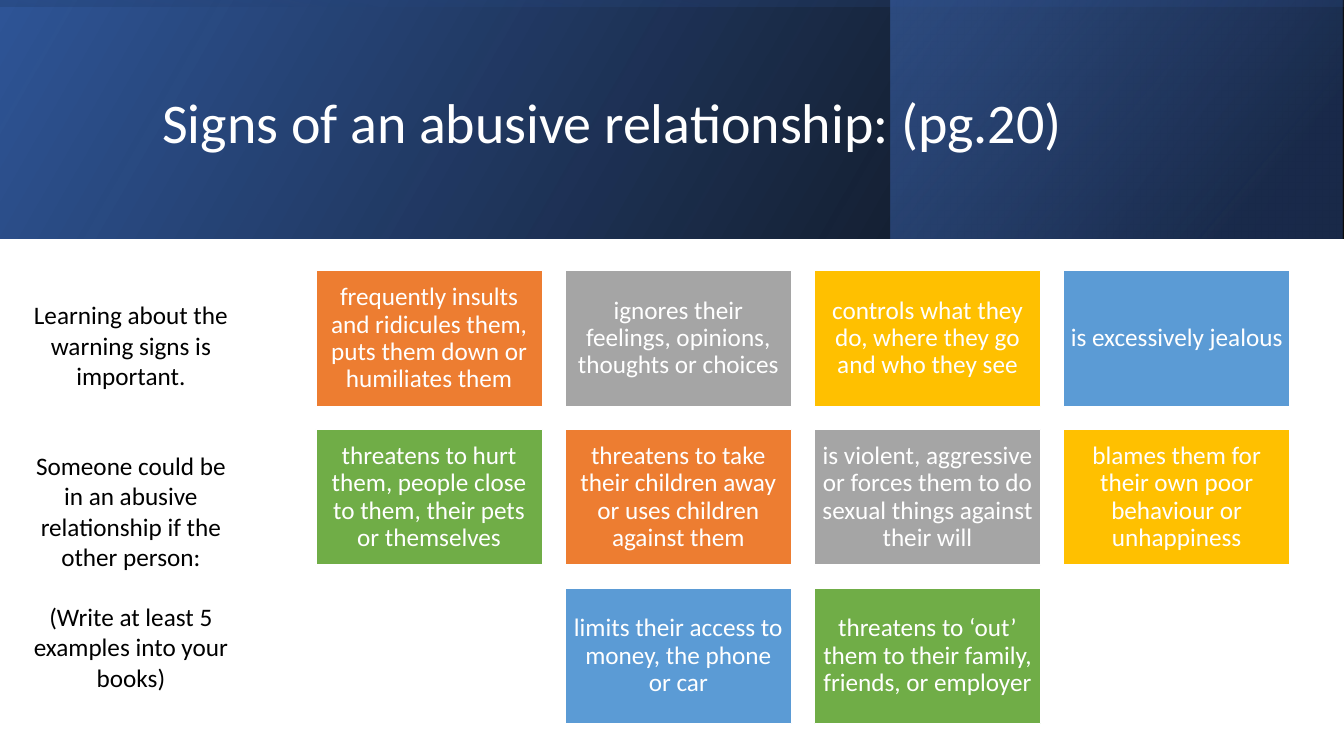
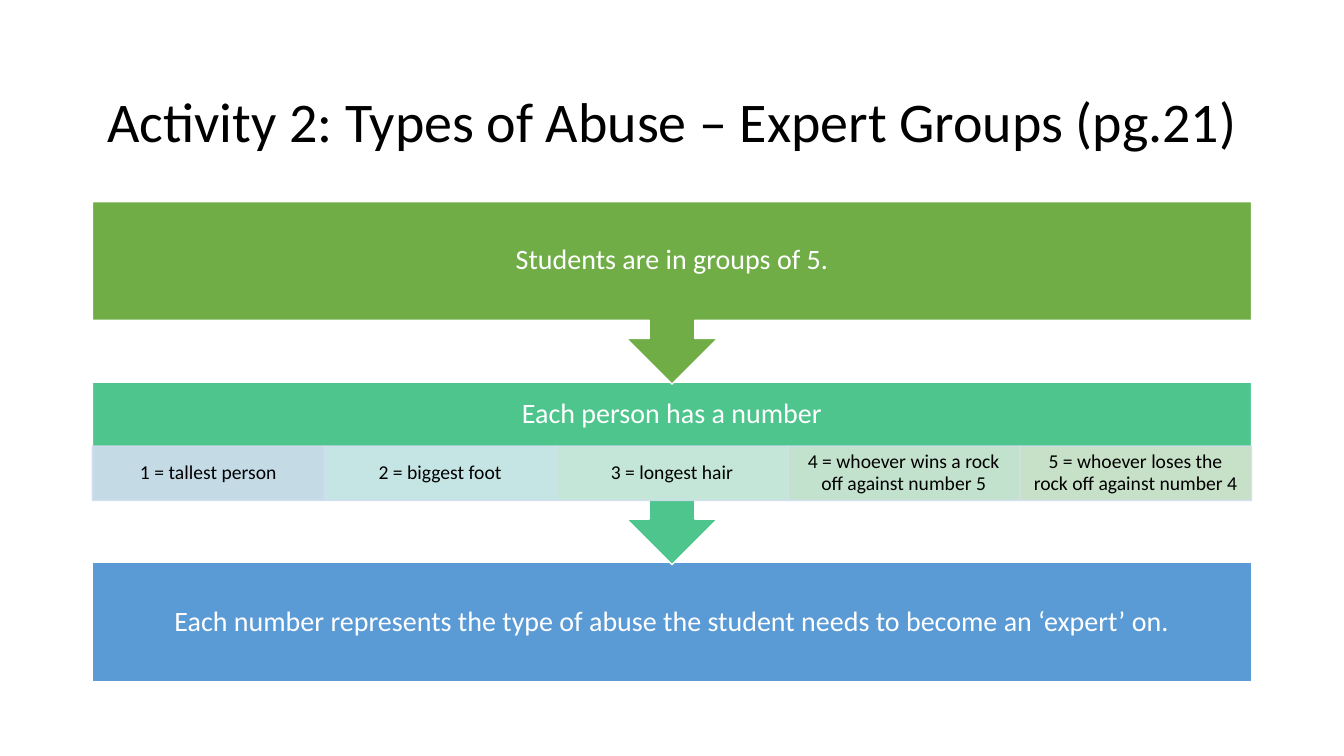
from dataclasses import dataclass

from pptx import Presentation
from pptx.dml.color import RGBColor
from pptx.enum.shapes import MSO_SHAPE as Shape
from pptx.enum.text import MSO_ANCHOR as Anchor, MSO_AUTO_SIZE as AutoSize, PP_ALIGN as Align
from pptx.oxml.xmlchemy import OxmlElement
from pptx.util import Cm, Pt


@dataclass(frozen=True)
class Theme:
    font: str = "Calibri"
    title_size: int = 40
    step_size: int = 20
    body_size: int = 18
    cell_size: int = 14
    white: str = "FFFFFF"
    black: str = "000000"
    navy: str = "203864"
    royal: str = "2F5597"
    azure: str = "4472C4"
    blue: str = "5B9BD5"
    green: str = "70AD47"
    mint: str = "4DC58D"
    cards: tuple = ("ED7D31", "A5A5A5", "FFC000", "5B9BD5", "70AD47")
    cells: tuple = ("D2DEEF", "D1E9ED", "D0EAE1", "D0E6D4", "D5E3CF")
    cell_line: str = "D2DEEF"


T = Theme()
SLIDE_W, SLIDE_H = 33.87, 19.05


def rgb(color):
    return RGBColor.from_string(color)


def set_alpha(shape, values):
    """Give each colour of the shape, in order, its opacity in percent."""
    for color, value in zip(shape.element.spPr.xpath(".//a:srgbClr"), values):
        alpha = OxmlElement("a:alpha")
        alpha.set("val", str(value * 1000))
        color.append(alpha)


class Deck:
    def __init__(self):
        self.prs = Presentation()
        self.prs.slide_width, self.prs.slide_height = Cm(SLIDE_W), Cm(SLIDE_H)
        self.s = None

    def new_slide(self):
        self.s = self.prs.slides.add_slide(self.prs.slide_layouts[5])

    def fill_text(self, shape, paragraphs, size, color, inset=(0.25, 0.13), spacing=0.9,
                  anchor=Anchor.MIDDLE, align=Align.CENTER, gaps=()):
        tf = shape.text_frame
        tf.word_wrap, tf.auto_size = True, AutoSize.NONE
        tf.vertical_anchor = anchor
        tf.margin_left = tf.margin_right = Cm(inset[0])
        tf.margin_top = tf.margin_bottom = Cm(inset[1])
        tf.text = "\n".join(paragraphs)
        for p in tf.paragraphs:
            p.alignment, p.line_spacing = align, spacing
            p.font.name, p.font.size = T.font, Pt(size)
            p.font.color.rgb = rgb(color)
        for p, gap in zip(tf.paragraphs[1:], gaps):
            p.space_before = Pt(gap)

    def title(self, text, box, color, align=Align.CENTER):
        sp = self.s.shapes.title
        sp.left, sp.top, sp.width, sp.height = map(Cm, box)
        self.fill_text(sp, [text], T.title_size, color, align=align)
        self.s.shapes.element.append(sp.element)  # in front of the bands

    def text(self, paragraphs, box, size, color, **style):
        self.fill_text(self.s.shapes.add_textbox(*map(Cm, box)), paragraphs, size, color, **style)

    def shape(self, box, fill, line=T.white, kind=Shape.RECTANGLE):
        sp = self.s.shapes.add_shape(kind, *map(Cm, box))
        sp.shadow.inherit = False
        sp.fill.solid()
        sp.fill.fore_color.rgb = rgb(fill)
        sp.line.color.rgb = rgb(line)
        sp.line.width = Pt(1)
        return sp

    def band(self, box, stops, angle, rotation=0):
        """Mirrored gradient band; stops are (position, colour, opacity)."""
        sp = self.shape(box, T.royal)
        sp.line.fill.background()
        sp.fill.gradient()
        sp.fill.gradient_angle = 360 - angle
        for stop, (position, color, _) in zip(sp.fill.gradient_stops, stops):
            stop.position, stop.color.rgb = position, rgb(color)
        set_alpha(sp, [opacity for _, _, opacity in stops])
        sp.element.spPr.xfrm.set("flipH", "1")
        sp.rotation = rotation

    def box(self, text, box, fill, size, inset):
        self.fill_text(self.shape(box, fill), [text], size, T.white, inset)

    def callout(self, text, top, text_height, fill):
        """Full-width step with an arrow pointing to the next one."""
        sp = self.shape((STEP_X, top, STEP_W, 4.6), fill, kind=Shape.UP_ARROW_CALLOUT)
        sp.rotation = 180
        self.text([text], (STEP_X, top, STEP_W, text_height), T.step_size, T.white,
                  inset=STEP_INSET)

    def cell(self, text, box, fill):
        sp = self.shape(box, fill, T.cell_line)
        set_alpha(sp, (90, 90))
        self.fill_text(sp, [text], T.cell_size, T.black, (0.28, 0.05))


# Slide 1: grid of cards
BAND_H = 6.02
CARD_X, CARD_Y, CARD_W, CARD_H = 7.96, 6.82, 5.71, 3.42
PITCH_X, PITCH_Y, COLUMNS = 6.28, 4.0, 4
SIGNS = [
    "frequently insults and ridicules them, puts them down or humiliates them",
    "ignores their feelings, opinions, thoughts or choices",
    "controls what they do, where they go and who they see",
    "is excessively jealous",
    "threatens to hurt them, people close to them, their pets or themselves",
    "threatens to take their children away or uses children against them",
    "is violent, aggressive or forces them to do sexual things against their will",
    "blames them for their own poor behaviour or unhappiness",
    "limits their access to money, the phone or car",
    "threatens to ‘out’ them to their family, friends, or employer",
]
INTRO = [
    "Learning about the warning signs is important.",
    "Someone could be in an abusive relationship if the other person:",
    "(Write at least 5 examples into your books)",
]

# Slide 2: stack of steps
STEP_X, STEP_W, STEP_INSET = 2.33, 29.21, (0.4, 0.4)
NUMBERS = [
    "1 = tallest person",
    "2 = biggest foot",
    "3 = longest hair",
    "4 = whoever wins a rock off against number 5",
    "5 = whoever loses the rock off against number 4",
]


def signs_slide(deck):
    deck.new_slide()
    # Header bands and title
    deck.band((0, 0, SLIDE_W, BAND_H), [(0, T.black, 96), (1, T.royal, 100)], 330)
    deck.band((22.45, 0, 11.39, BAND_H), [(0.19, T.navy, 68), (1, T.azure, 48)], 320)
    deck.band(((SLIDE_W - BAND_H) / 2, (BAND_H - SLIDE_W) / 2, BAND_H, SLIDE_W),
              [(0.23, T.royal, 16), (0.99, T.black, 45)], 350, rotation=270)
    deck.title("Signs of an abusive relationship: (pg.20)", (3.84, 0.97, 27, 4.37),
               T.white, Align.LEFT)
    # Cards, with a short last row centred
    for i, sign in enumerate(SIGNS):
        row, column = divmod(i, COLUMNS)
        in_row = min(COLUMNS, len(SIGNS) - row * COLUMNS)
        x = CARD_X + (column + (COLUMNS - in_row) / 2) * PITCH_X
        deck.box(sign, (x, CARD_Y + row * PITCH_Y, CARD_W, CARD_H),
                 T.cards[i % len(T.cards)], T.body_size, (0.18, 0.18))
    # Side text
    deck.text(INTRO, (0.43, 7.42, 5.74, 10.26), T.body_size, T.black,
              spacing=1, anchor=Anchor.TOP, gaps=(43, 21.5))


def activity_slide(deck):
    deck.new_slide()
    deck.title("Activity 2: Types of Abuse – Expert Groups (pg.21)",
               (STEP_X, 1.55, STEP_W, 3.15), T.black)
    # Steps, from the last to the first
    deck.box("Each number represents the type of abuse the student needs to become an ‘expert’ on.",
             (STEP_X, 14.18, STEP_W, 2.99), T.blue, T.step_size, STEP_INSET)
    deck.callout("Each person has a number", 9.63, 1.61, T.mint)
    cell_w = STEP_W / len(NUMBERS)
    for i, (number, fill) in enumerate(zip(NUMBERS, T.cells)):
        deck.cell(number, (STEP_X + i * cell_w, 11.24, cell_w, 1.37), fill)
    deck.callout("Students are in groups of 5.", 5.08, 2.99, T.green)


def main():
    deck = Deck()
    signs_slide(deck)
    activity_slide(deck)
    deck.prs.save("out.pptx")


if __name__ == "__main__":
    main()
